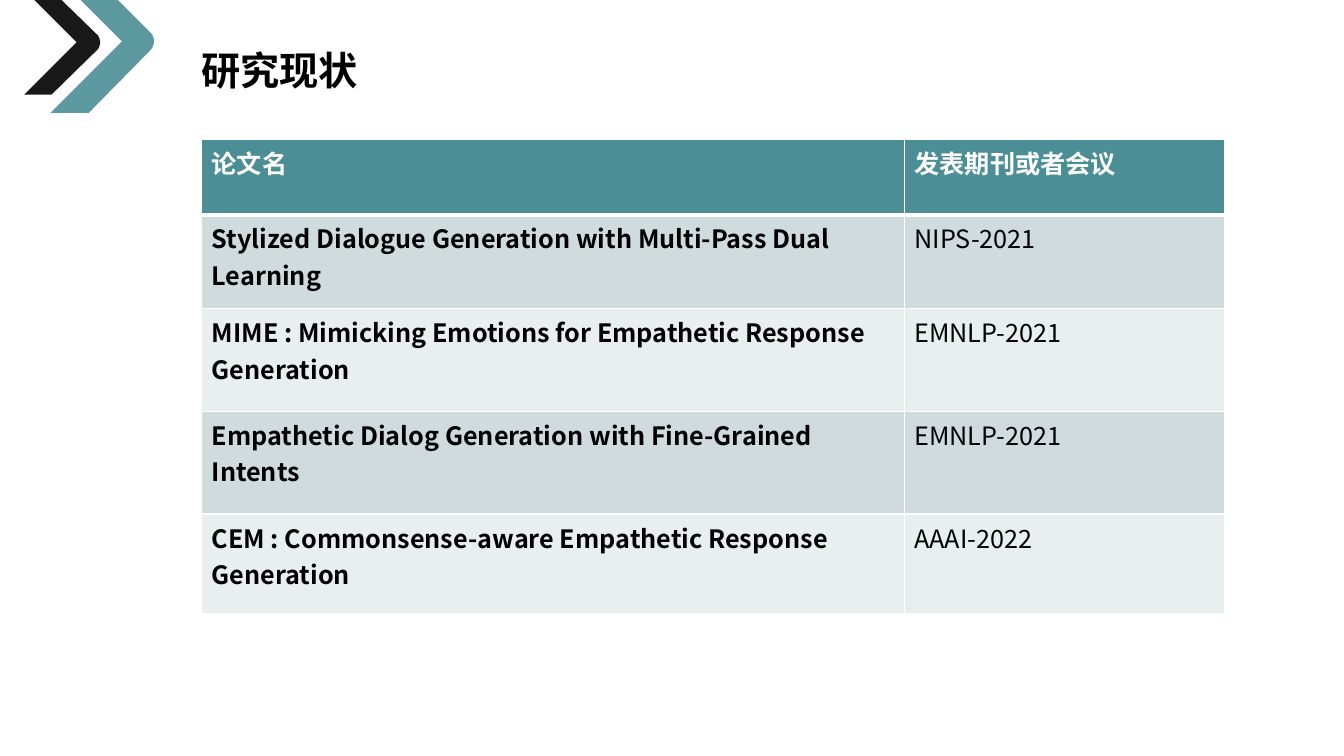
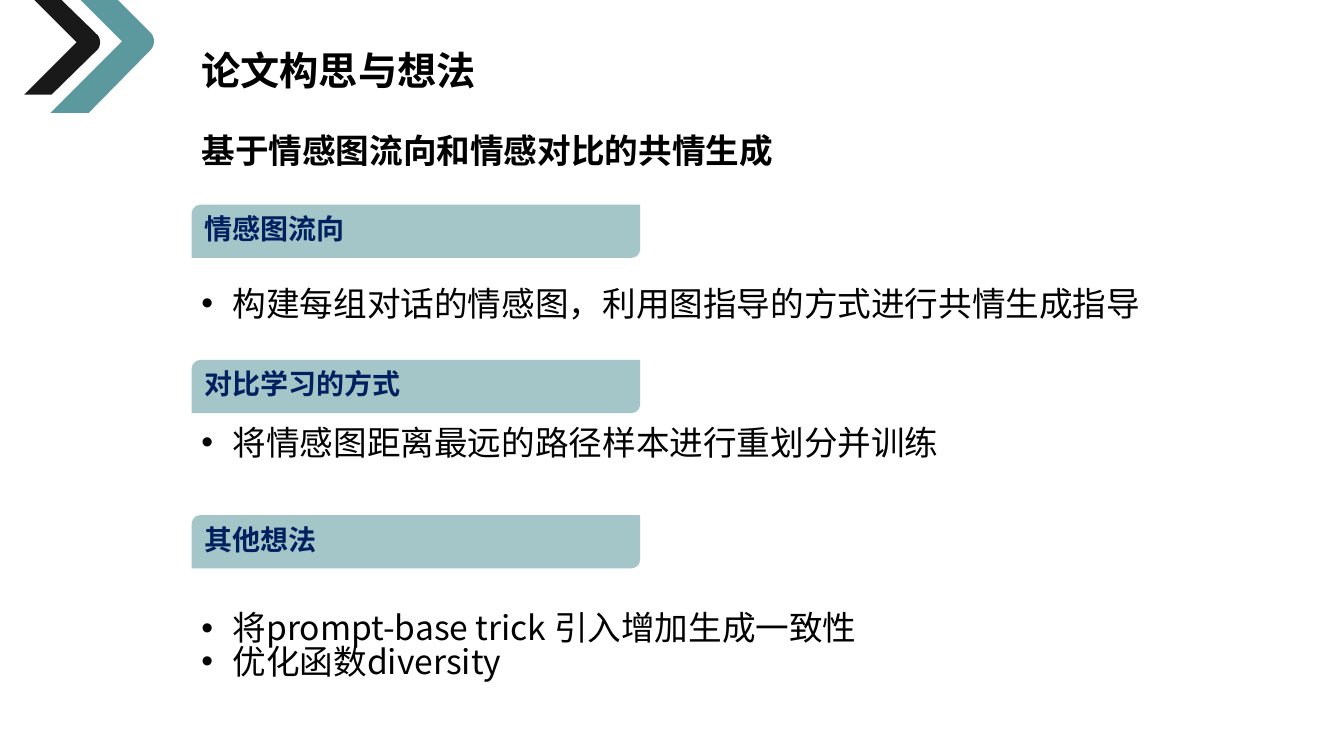
from dataclasses import dataclass

from lxml.etree import SubElement
from pptx import Presentation
from pptx.dml.color import RGBColor
from pptx.enum.lang import MSO_LANGUAGE_ID
from pptx.enum.shapes import MSO_SHAPE
from pptx.enum.text import MSO_ANCHOR, PP_ALIGN
from pptx.oxml.ns import qn
from pptx.util import Inches, Pt


@dataclass(frozen=True)
class Theme:
    teal: str = "4B8E95"
    black: str = "000000"
    white: str = "FFFFFF"
    navy: str = "002060"
    row_dark: str = "D0DBDD"
    row_light: str = "E9EEEF"
    title_font: str = "Noto Sans CJK JP"
    body_font: str = "Noto Sans CJK SC"
    title_size: int = 28
    body_size: int = 24
    band_size: int = 20
    table_size: int = 18
    line_spacing: float = 0.84
    left: float = 1.9


THEME = Theme()

PAPERS_TITLE = "研究现状"
PAPERS = [
    ("论文名", "发表期刊或者会议"),
    ("Stylized Dialogue Generation with Multi-Pass Dual Learning", "NIPS-2021"),
    ("MIME : Mimicking Emotions for Empathetic Response Generation", "EMNLP-2021"),
    ("Empathetic Dialog Generation with Fine-Grained Intents", "EMNLP-2021"),
    ("CEM : Commonsense-aware Empathetic Response Generation", "AAAI-2022"),
]
COLUMN_WIDTHS = (6.97, 3.18)
ROW_HEIGHTS = (0.75, 0.93, 1.02, 1.02, 0.99)

IDEAS_TITLE = "论文构思与想法"
IDEAS_SUBTITLE = "基于情感图流向和情感对比的共情生成"
# Heading, top of its bullets, bullets
IDEAS = [
    ("情感图流向", 2.82, ["构建每组对话的情感图，利用图指导的方式进行共情生成指导"]),
    ("对比学习的方式", 4.2, ["将情感图距离最远的路径样本进行重划分并训练"]),
    ("其他想法", 6.04, ["将prompt-base trick 引入增加生成一致性", "优化函数diversity"]),
]
BAND_TOP, BAND_PITCH = 2.03, 1.54

# Colour, Bezier points of the rounded tip, remaining corners
CHEVRONS = [
    (THEME.teal, [(1.49, 0.5), (1.54, 0.45), (1.54, 0.37), (1.49, 0.32)],
     [(1.17, 0), (0.8, 0), (1.21, 0.41), (0.5, 1.12), (0.88, 1.12)]),
    (THEME.black, [(0.97, 0.49), (1, 0.45), (1, 0.39), (0.97, 0.35)],
     [(0.61, 0), (0.34, 0), (0.76, 0.42), (0.24, 0.94), (0.51, 0.94)]),
]


def write(frame, lines, *, size, color=THEME.black, font=THEME.body_font,
          bold=False, bullet=False, line_spacing=THEME.line_spacing):
    """Fill a text frame with one left-aligned paragraph per line."""
    for index, line in enumerate(lines):
        para = frame.paragraphs[0] if index == 0 else frame.add_paragraph()
        para.alignment = PP_ALIGN.LEFT
        para.line_spacing = line_spacing
        if bullet:
            properties = para._p.get_or_add_pPr()
            properties.set("marL", str(Inches(0.31)))
            properties.set("indent", str(-Inches(0.31)))
            SubElement(properties, qn("a:buFont"), typeface="Arial")
            SubElement(properties, qn("a:buChar"), char="•")
        span = para.add_run()
        span.text = line
        span.font.size = Pt(size)
        span.font.bold = bold
        span.font.color.rgb = RGBColor.from_string(color)
        span.font.name = font
        span.font.language_id = MSO_LANGUAGE_ID.SIMPLIFIED_CHINESE
        SubElement(span._r.get_or_add_rPr(), qn("a:ea"), typeface=font)


def add_text(page, top, lines, *, size, width=None, **text_format):
    """Add a text box; without a width it is sized to its one line."""
    box_width = width or len(lines[0]) * size / 72 + 0.2
    height = len(lines) * size * 1.22 / 72 + 0.1
    box = page.shapes.add_textbox(Inches(THEME.left), Inches(top),
                                  Inches(box_width), Inches(height))
    box.text_frame.word_wrap = width is not None
    write(box.text_frame, lines, size=size, **text_format)


def paint(shape, color, opacity):
    """Give a shape a see-through fill, no outline and no shadow."""
    shape.shadow.inherit = False
    shape.line.fill.background()
    shape.fill.solid()
    shape.fill.fore_color.rgb = RGBColor.from_string(color)
    fill_color = shape._element.spPr.find(qn("a:solidFill")).find(qn("a:srgbClr"))
    SubElement(fill_color, qn("a:alpha"), val=str(opacity * 1000))


def curve(points, steps=12):
    """Return points along a cubic Bezier curve."""
    result = []
    for step in range(steps + 1):
        t = step / steps
        weights = ((1 - t) ** 3, 3 * t * (1 - t) ** 2, 3 * t * t * (1 - t), t ** 3)
        result.append(tuple(sum(weight * point[axis] for weight, point in zip(weights, points))
                            for axis in (0, 1)))
    return result


def add_page(deck, title):
    """Add a blank page with the corner chevrons and its title."""
    page = deck.slides.add_slide(deck.slide_layouts[6])
    for color, tip, corners in CHEVRONS:
        outline = [(Inches(x), Inches(y)) for x, y in curve(tip) + corners]
        builder = page.shapes.build_freeform(*outline[0])
        builder.add_line_segments(outline[1:], close=True)
        paint(builder.convert_to_shape(), color, 90)
    add_text(page, 0.49, [title], size=THEME.title_size, font=THEME.title_font, bold=True)
    return page


def set_borders(cell, **widths):
    """Draw white cell borders; widths are in points by side, L R T B."""
    for side in "LRTB":
        border = SubElement(cell._tc.get_or_add_tcPr(), qn(f"a:ln{side}"),
                            w=str(Pt(widths.get(side, 1))))
        fill = SubElement(border, qn("a:solidFill"))
        SubElement(fill, qn("a:srgbClr"), val=THEME.white)


def add_papers(page):
    frame = page.shapes.add_table(len(PAPERS), len(COLUMN_WIDTHS), Inches(2), Inches(1.38),
                                  Inches(sum(COLUMN_WIDTHS)), Inches(sum(ROW_HEIGHTS)))
    table = frame.table
    for column, width in zip(table.columns, COLUMN_WIDTHS):
        column.width = Inches(width)
    for row_index, (row, height) in enumerate(zip(table.rows, ROW_HEIGHTS)):
        row.height = Inches(height)
        header = row_index == 0
        row_color = THEME.row_dark if row_index % 2 else THEME.row_light
        for column_index, cell in enumerate(row.cells):
            set_borders(cell, B=3 if header else 1, T=3 if row_index == 1 else 1)
            cell.fill.solid()
            cell.fill.fore_color.rgb = RGBColor.from_string(THEME.teal if header else row_color)
            write(cell.text_frame, [PAPERS[row_index][column_index]],
                  size=THEME.table_size, color=THEME.white if header else THEME.black,
                  bold=header or column_index == 0, line_spacing=1.0)


def add_ideas(page):
    add_text(page, 1.3, [IDEAS_SUBTITLE], size=THEME.body_size,
             font=THEME.title_font, bold=True)
    for index, (heading, bullets_top, bullets) in enumerate(IDEAS):
        band = page.shapes.add_shape(
            MSO_SHAPE.ROUND_2_DIAG_RECTANGLE, Inches(THEME.left),
            Inches(BAND_TOP + index * BAND_PITCH), Inches(4.45), Inches(0.53))
        paint(band, THEME.teal, 50)
        band.text_frame.vertical_anchor = MSO_ANCHOR.MIDDLE
        write(band.text_frame, [heading], size=THEME.band_size, color=THEME.navy, bold=True)
        add_text(page, bullets_top, bullets, size=THEME.body_size, width=10.76, bullet=True)


def main():
    deck = Presentation()
    deck.slide_width, deck.slide_height = Inches(13.33), Inches(7.5)
    add_papers(add_page(deck, PAPERS_TITLE))
    add_ideas(add_page(deck, IDEAS_TITLE))
    deck.save("out.pptx")


if __name__ == "__main__":
    main()
